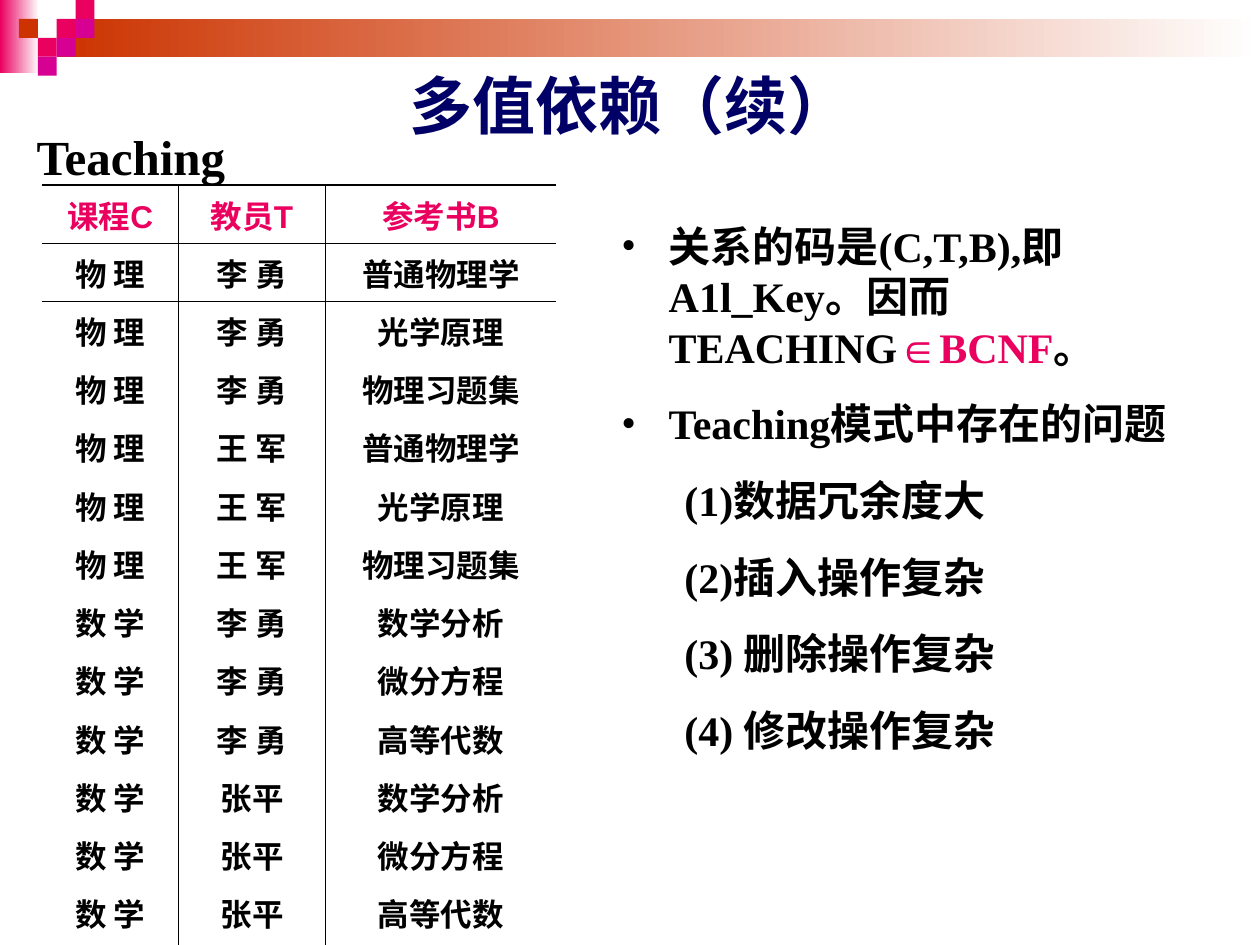
from itertools import product
from lxml import etree
from pptx import Presentation
from pptx.dml.color import RGBColor
from pptx.enum.shapes import MSO_SHAPE
from pptx.enum.text import MSO_ANCHOR, PP_ALIGN
from pptx.oxml.ns import qn
from pptx.util import Pt

PINK, MAGENTA, ORANGE, NAVY, BLACK, WHITE = (
    "EA005F", "D60093", "CC3300", "000066", "000000", "FFFFFF")
SERIF, SANS = "Times New Roman", "Arial"
NO_STYLE = "{2D5ABB26-0587-4C30-8999-92F81FD0307C}"

COURSES = [
    ("物 理", ["李 勇", "王 军"], ["普通物理学", "光学原理", "物理习题集"]),
    ("数 学", ["李 勇", "张平"], ["数学分析", "微分方程", "高等代数"]),
]
BULLETS = [
    [("关系的码是(C,T,B),即A1l_Key。因而TEACHING", BLACK), ("∈BCNF", PINK), ("。", BLACK)],
    [("Teaching模式中存在的问题", BLACK)],
]
PROBLEMS = ["(1)数据冗余度大", "(2)插入操作复杂", "(3) 删除操作复杂", "(4) 修改操作复杂"]


def rgb(color):
    return RGBColor.from_string(color)


def add_run(p, text, size, color, font):
    r = p.add_run()
    r.text = text
    r.font.size = Pt(size)
    r.font.bold = True
    r.font.name = font
    r.font.color.rgb = rgb(color)


def add_box(s, x, y, w, h, side=7.2, top=3.6):
    tf = s.shapes.add_textbox(Pt(x), Pt(y), Pt(w), Pt(h)).text_frame
    tf.word_wrap = True
    tf.margin_left = tf.margin_right = Pt(side)
    tf.margin_top, tf.margin_bottom = Pt(top), Pt(3.6)
    return tf


def add_rect(s, x, y, w, h, color, fade=False):
    sp = s.shapes.add_shape(MSO_SHAPE.RECTANGLE, Pt(x), Pt(y), Pt(w), Pt(h))
    sp.shadow.inherit = False
    sp.line.fill.background()
    if fade:
        sp.fill.gradient()
        sp.fill.gradient_angle = 0
        for stop, c in zip(sp.fill.gradient_stops, (color, WHITE)):
            stop.color.rgb = rgb(c)
    else:
        sp.fill.solid()
        sp.fill.fore_color.rgb = rgb(color)


def add_banner(s, x, y, w, unit):
    add_rect(s, x, y, 22.3, 42, PINK, fade=True)
    add_rect(s, x + 3 * unit, y + unit, w - 3 * unit, 2 * unit, ORANGE, fade=True)
    squares = [(3, 1, PINK), (4, 0, PINK), (4, 1, MAGENTA), (2, 2, PINK),
               (1, 1, ORANGE), (3, 2, MAGENTA), (2, 3, MAGENTA)]
    for col, row, color in squares:
        add_rect(s, x + col * unit, y + row * unit, unit, unit, color)


def add_title(s, x, y, w, h):
    tf = add_box(s, x, y, w, h)
    tf.vertical_anchor = MSO_ANCHOR.MIDDLE
    p = tf.paragraphs[0]
    p.alignment = PP_ALIGN.CENTER
    add_run(p, "多值依赖（续）", 36, NAVY, SANS)


def add_caption(s, x, y, w, h):
    tf = add_box(s, x, y, w, h, side=1.4, top=7)
    add_run(tf.paragraphs[0], "Teaching", 28, BLACK, SERIF)


def add_border(cell, side, width):
    ln = etree.SubElement(cell._tc.get_or_add_tcPr(), qn("a:ln" + side), w=str(Pt(width)))
    fill = etree.SubElement(ln, qn("a:solidFill"))
    etree.SubElement(fill, qn("a:srgbClr"), val=BLACK)


def add_teaching_table(s, x, y, widths, row_h):
    rows = [("课程C", "教员T", "参考书B")]
    for course, teachers, books in COURSES:
        rows += product([course], teachers, books)
    rows.append(("…",) * 3)
    last = len(rows) - 1
    frame = s.shapes.add_table(len(rows), len(widths), Pt(x), Pt(y),
                               Pt(sum(widths)), Pt(row_h * len(rows)))
    tbl = frame.table
    tbl.first_row = tbl.horz_banding = False
    tbl._tbl.tblPr.find(qn("a:tableStyleId")).text = NO_STYLE
    for column, width in zip(tbl.columns, widths):
        column.width = Pt(width)
    for i, row in enumerate(rows):
        tbl.rows[i].height = Pt(row_h)
        for j, text in enumerate(row):
            cell = tbl.cell(i, j)
            cell.margin_left = cell.margin_right = Pt(1.4)
            cell.margin_top = cell.margin_bottom = Pt(3.6)
            cell.vertical_anchor = MSO_ANCHOR.MIDDLE
            if j > 0:
                add_border(cell, "L", 0.45)
            if j < len(widths) - 1:
                add_border(cell, "R", 0.45)
            if i < 2:
                add_border(cell, "T", 0.45 if i else 1.08)
            if i in (0, last):
                add_border(cell, "B", 1.08 if i else 0.45)
            cell.fill.background()
            p = cell.text_frame.paragraphs[0]
            p.alignment = PP_ALIGN.CENTER
            add_run(p, text, 18, BLACK if i else PINK, SANS)


def add_points(s, x, y, w, h):
    tf = add_box(s, x, y, w, h)
    items = [(runs, True) for runs in BULLETS]
    items += [([(text, BLACK)], False) for text in PROBLEMS]
    for i, (runs, bulleted) in enumerate(items):
        p = tf.add_paragraph() if i else tf.paragraphs[0]
        pPr = p._p.get_or_add_pPr()
        left, indent = (27, -27) if bulleted else (58.5, -22.5)
        pPr.set("marL", str(Pt(left)))
        pPr.set("indent", str(Pt(indent)))
        if bulleted:
            etree.SubElement(pPr, qn("a:buFont"), typeface=SERIF)
            etree.SubElement(pPr, qn("a:buChar"), char="•")
        else:
            p.level = 1
            etree.SubElement(pPr, qn("a:buNone"))
        if i:
            p.space_before = Pt(15)
        for text, color in runs:
            add_run(p, text, 24, color, SERIF)


def main():
    prs = Presentation()
    prs.slide_width, prs.slide_height = Pt(720), Pt(540)
    s = prs.slides.add_slide(prs.slide_layouts[6])
    add_banner(s, 0, 0, 720, 10.8)
    add_teaching_table(s, 24, 105.8, [78, 84, 132], 33.3)
    add_points(s, 348, 122.4, 372, 335.5)
    add_caption(s, 19.5, 65.5, 204, 41)
    add_title(s, 36, 36, 648, 46.8)
    prs.save("out.pptx")


if __name__ == "__main__":
    main()
